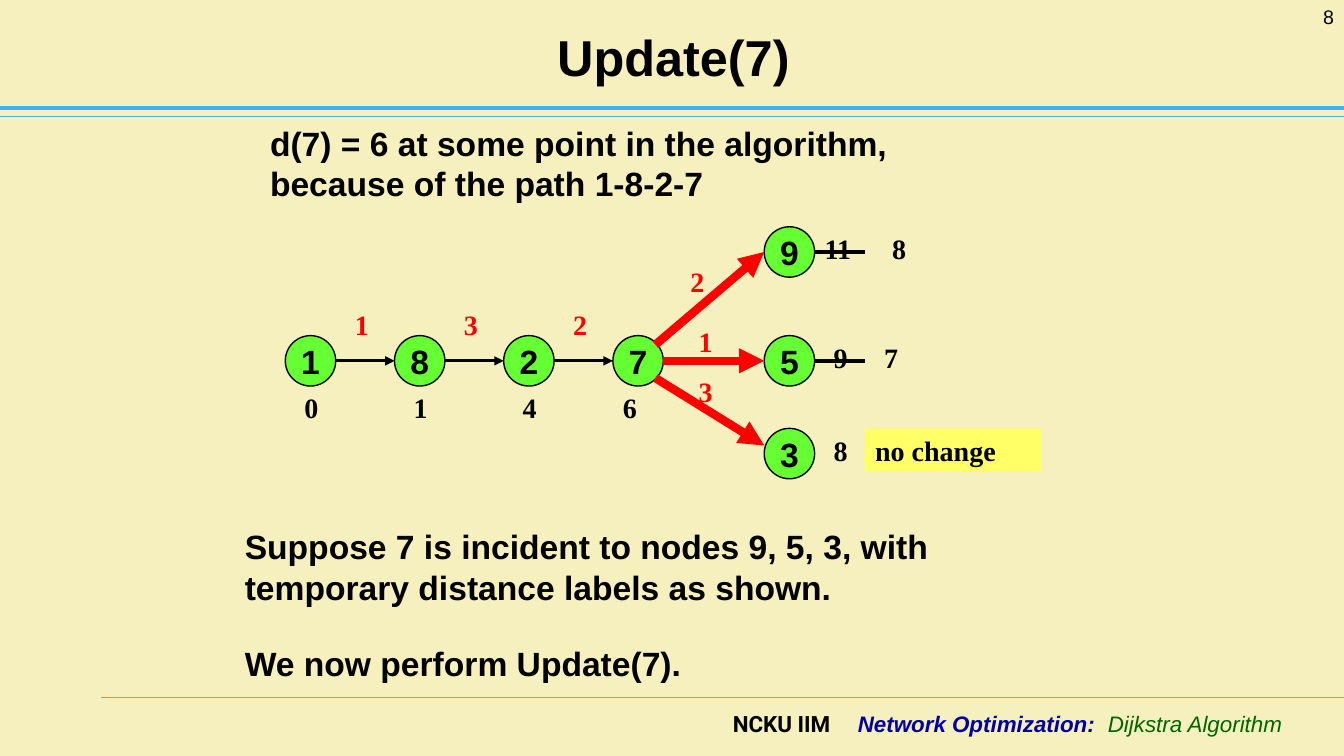
from lxml.etree import SubElement
from pptx import Presentation
from pptx.dml.color import RGBColor
from pptx.enum.shapes import MSO_CONNECTOR, MSO_SHAPE
from pptx.enum.text import MSO_ANCHOR, PP_ALIGN
from pptx.oxml.ns import qn
from pptx.util import Inches, Pt

SERIF = "Times New Roman"
BLACK, RED = "000000", "FF0000"
NODE = 0.5
STEP = 1.083
CHAIN_X, ROW_Y = 2.83, 3.33
BRANCH_X = 7.58


def rgb(value):
    return RGBColor.from_string(value)


def add_run(p, text, size, color=BLACK, font="Arial", bold=True, italic=False):
    r = p.add_run()
    r.text = text
    r.font.size = Pt(size)
    r.font.name = font
    r.font.bold = bold
    r.font.italic = italic
    r.font.color.rgb = rgb(color)


def add_text(s, x, y, w, h, text, size=24, color=BLACK, font="Arial", bold=True,
             align=PP_ALIGN.LEFT, anchor=MSO_ANCHOR.TOP, fill=None):
    box = s.shapes.add_textbox(Inches(x), Inches(y), Inches(w), Inches(h))
    if fill:
        box.fill.solid()
        box.fill.fore_color.rgb = rgb(fill)
    tf = box.text_frame
    tf.word_wrap = True
    tf.vertical_anchor = anchor
    p = tf.paragraphs[0]
    p.alignment = align
    add_run(p, text, size, color, font, bold)


def add_label(s, x, y, text, color=BLACK, w=0.58, fill=None):
    add_text(s, x, y, w, 0.43, text, 20, color, SERIF, fill=fill)


def add_line(s, x1, y1, x2, y2, color, width, arrow=False):
    line = s.shapes.add_connector(
        MSO_CONNECTOR.STRAIGHT, Inches(x1), Inches(y1), Inches(x2), Inches(y2))
    line.line.color.rgb = rgb(color)
    line.line.width = Pt(width)
    spPr = line._element.spPr
    if arrow:
        SubElement(spPr.find(qn("a:ln")), qn("a:tailEnd"), type="triangle")
    SubElement(spPr, qn("a:effectLst"))


def add_node(s, x, y, text):
    sp = s.shapes.add_shape(
        MSO_SHAPE.OVAL, Inches(x), Inches(y), Inches(NODE), Inches(NODE))
    sp.shadow.inherit = False
    sp.fill.solid()
    sp.fill.fore_color.rgb = rgb("66FF33")
    sp.line.color.rgb = rgb(BLACK)
    sp.line.width = Pt(1)
    tf = sp.text_frame
    tf.word_wrap = False
    tf.vertical_anchor = MSO_ANCHOR.MIDDLE
    p = tf.paragraphs[0]
    p.alignment = PP_ALIGN.CENTER
    add_run(p, text, 24)


def add_footer(s):
    box = s.shapes.add_textbox(Inches(7.17), Inches(7), Inches(5.9), Inches(0.5))
    tf = box.text_frame
    tf.word_wrap = True
    p = tf.paragraphs[0]
    tabs = SubElement(p._p.get_or_add_pPr(), qn("a:tabLst"))
    for stop in (1.24, 3.72):
        SubElement(tabs, qn("a:tab"), pos=str(Inches(stop)), algn="l")
    add_run(p, "NCKU IIM\t", 16, font="Roboto")
    add_run(p, "Network Optimization:\t", 16, "0000A8", italic=True)
    add_run(p, "Dijkstra Algorithm", 16, "006600", bold=False, italic=True)


def add_frame(s):
    add_line(s, 1, 6.92, 13.33, 6.92, "33CCFF", 0.75)
    add_line(s, 0, 1.16, 13.33, 1.16, "3DB0FF", 0.75)
    add_line(s, 0, 1.07, 13.33, 1.07, "3DB0FF", 2.5)
    add_footer(s)
    add_text(s, 0.68, 0.12, 12, 0.87, "Update(7)", 36,
             align=PP_ALIGN.CENTER, anchor=MSO_ANCHOR.MIDDLE)
    add_text(s, 12.22, 0, 1.11, 0.5, "8", 14, bold=False, align=PP_ALIGN.RIGHT)


def add_path(s):
    mid = ROW_Y + NODE / 2
    for i, (node, distance) in enumerate(zip("1827", "0146")):
        x = CHAIN_X + i * STEP
        add_node(s, x, ROW_Y, node)
        add_label(s, 6.08 if node == "7" else x + 0.09, 3.83, distance)
    for i, cost in enumerate("132"):
        x = CHAIN_X + i * STEP
        add_line(s, x + NODE, mid, x + STEP, mid, BLACK, 2.25, arrow=True)
        add_label(s, x + 0.59, 3, cost, RED, 0.42)


def add_branches(s):
    branches = [
        ("9", 2.25, "2", 6.75, 2.58, "11", 8.08),
        ("5", ROW_Y, "1", 6.83, 3.17, "9", 8.17),
        ("3", 4.25, "3", 6.83, 3.67, "8", 8.17),
    ]
    for node, y, cost, cost_x, cost_y, distance, distance_x in branches:
        add_node(s, BRANCH_X, y, node)
        add_label(s, cost_x, cost_y, cost, RED, 0.42)
        add_label(s, distance_x, y, distance)
    for y, x, distance in ((2.25, 8.75, "8"), (ROW_Y, 8.67, "7")):
        add_line(s, 8.58, y + NODE / 2, 8.08, y + NODE / 2, BLACK, 3)
        add_label(s, x, y, distance, w=0.5)
    add_label(s, 8.58, 4.25, "no change", w=1.75, fill="FFFF66")
    for x, y, end_y in ((6.5, 3.42, 2.5), (6.58, 3.58, 3.58), (6.5, 3.75, 4.42)):
        add_line(s, x, y, BRANCH_X, end_y, RED, 6, arrow=True)


def main():
    prs = Presentation()
    prs.slide_width, prs.slide_height = Inches(13.33), Inches(7.5)
    s = prs.slides.add_slide(prs.slide_layouts[6])
    s.background.fill.solid()
    s.background.fill.fore_color.rgb = rgb("F5F0BD")
    add_frame(s)
    add_path(s)
    add_text(s, 2.58, 1.17, 6.33, 0.91,
             "d(7) = 6 at some point in the algorithm, because of the path 1-8-2-7")
    add_text(s, 2.33, 5.17, 7.17, 0.91,
             "Suppose 7 is incident to nodes 9, 5, 3, with temporary distance labels as shown.")
    add_text(s, 2.33, 6.33, 5.75, 0.5, "We now perform Update(7).")
    add_branches(s)
    prs.save("out.pptx")


if __name__ == "__main__":
    main()
